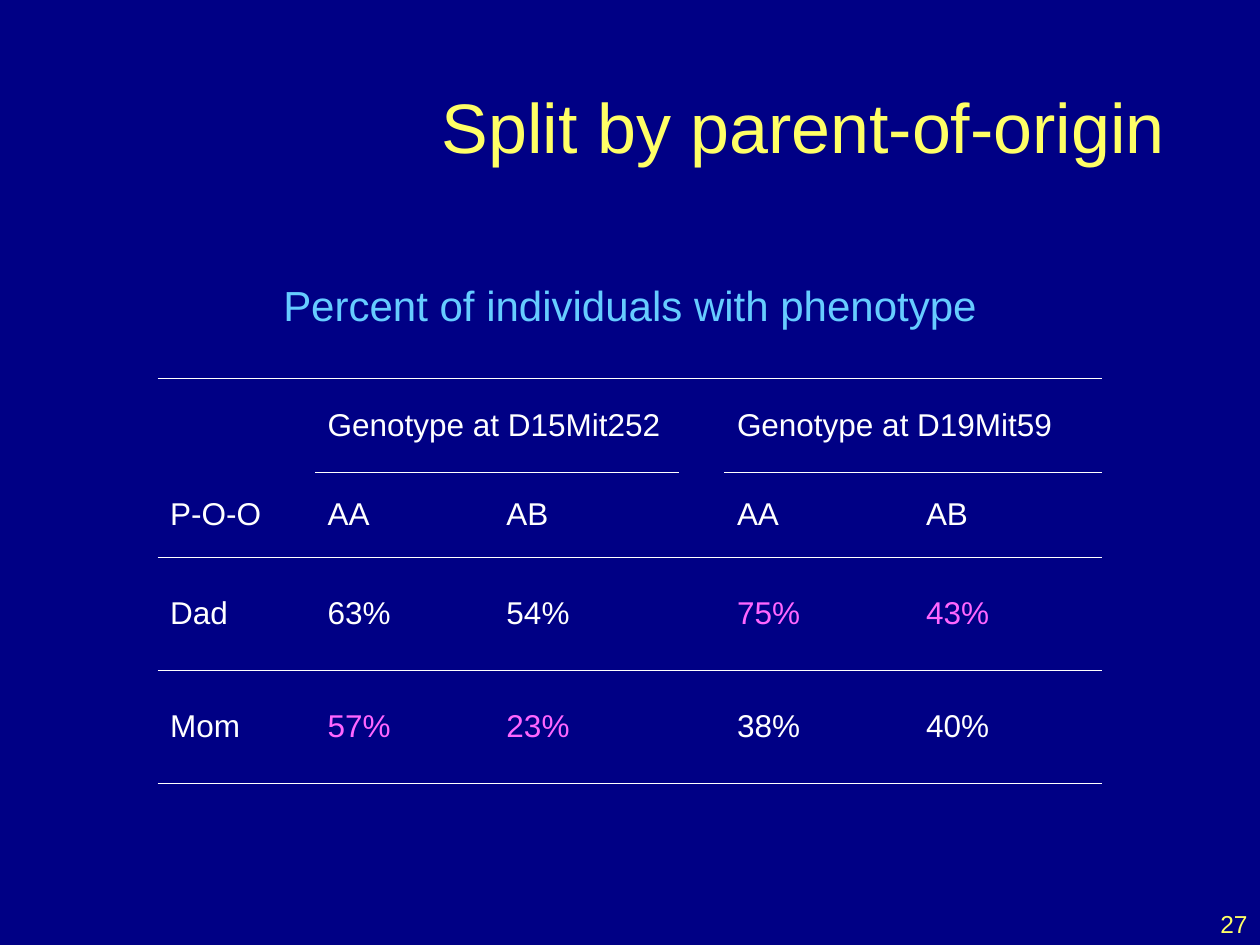
"""Build the parent-of-origin phenotype slide."""
from lxml import etree
from pptx import Presentation, util as u
from pptx.dml.color import RGBColor
from pptx.enum import text
from pptx.oxml.ns import qn


def rgb(value):
    return RGBColor.from_string(value)


def write(tf, words, size, color, align, anchor):
    tf.word_wrap = True
    tf.vertical_anchor = anchor
    p = tf.paragraphs[0]
    p.alignment = align
    r = p.add_run()
    r.text = words
    r.font.name = "Arial"
    r.font.size = u.Pt(size)
    r.font.color.rgb = rgb(color)


WHITE, YELLOW, PINK, BLUE = "FFFFFF", "FFFF66", "FF66FF", "66CCFF"
ALIGN, ANCHOR = text.PP_ALIGN, text.MSO_ANCHOR

prs = Presentation()
prs.slide_width, prs.slide_height = u.Inches(10), u.Inches(7.5)
s = prs.slides.add_slide(prs.slide_layouts[5])
s.background.fill.solid()
s.background.fill.fore_color.rgb = rgb("000085")

title = s.shapes.title
title.left, title.top = u.Inches(3), u.Inches(0.25)
title.width, title.height = u.Inches(6.75), u.Inches(1.5)
write(title.text_frame, "Split by parent-of-origin", 40, YELLOW, ALIGN.CENTER, ANCHOR.MIDDLE)

rows = [
    ["", "Genotype at D15Mit252", "", "", "Genotype at D19Mit59", ""],
    ["P-O-O", "AA", "AB", "", "AA", "AB"],
    ["Dad", "63%", "54%", "", "75%", "43%"],
    ["Mom", "57%", "23%", "", "38%", "40%"],
]
pink_cells = {(2, 4), (2, 5), (3, 1), (3, 2)}
col_widths = [1.25, 1.42, 1.47, 0.36, 1.5, 1.5]
row_heights = [0.75, 0.67, 0.9, 0.9]
every_col = set(range(len(col_widths)))
ruled_cols = {0: every_col, 1: {1, 2, 4, 5}, 2: every_col, 4: every_col}

frame = s.shapes.add_table(len(rows), len(col_widths), u.Inches(1.25), u.Inches(3),
                           u.Inches(sum(col_widths)), u.Inches(sum(row_heights)))
table = frame.table
table.first_row = table.horz_banding = False
style = table._tbl.tblPr.find(qn("a:tableStyleId"))
style.text = "{2D5ABB26-0587-4C30-8999-92F81FD0307C}"
for col, width in zip(table.columns, col_widths):
    col.width = u.Inches(width)
for row, height in zip(table.rows, row_heights):
    row.height = u.Inches(height)
for first in (1, 4):
    table.cell(0, first).merge(table.cell(0, first + 1))

for i, row in enumerate(rows):
    for j, words in enumerate(row):
        cell = table.cell(i, j)
        cell.fill.background()
        cell.vertical_anchor = ANCHOR.MIDDLE
        if words:
            color = PINK if (i, j) in pink_cells else WHITE
            write(cell.text_frame, words, 18, color, ALIGN.LEFT, None)
        tcPr = cell._tc.get_or_add_tcPr()
        for edge, line in (("a:lnB", i + 1), ("a:lnT", i)):
            if j in ruled_cols.get(line, ()):
                ln = etree.Element(qn(edge), w=str(u.Pt(0.45)))
                fill = etree.SubElement(ln, qn("a:solidFill"))
                etree.SubElement(fill, qn("a:srgbClr"), val=WHITE)
                tcPr.insert(0, ln)

labels = [
    ("Percent of individuals with phenotype", (0, 2.17, 10, 0.5), 24, BLUE, ALIGN.CENTER, ANCHOR.TOP),
    ("27", (7.92, 7, 2.08, 0.5), 14, YELLOW, ALIGN.RIGHT, ANCHOR.BOTTOM),
]
for words, box, size, color, align, anchor in labels:
    sp = s.shapes.add_textbox(*map(u.Inches, box))
    write(sp.text_frame, words, size, color, align, anchor)

prs.save("out.pptx")
